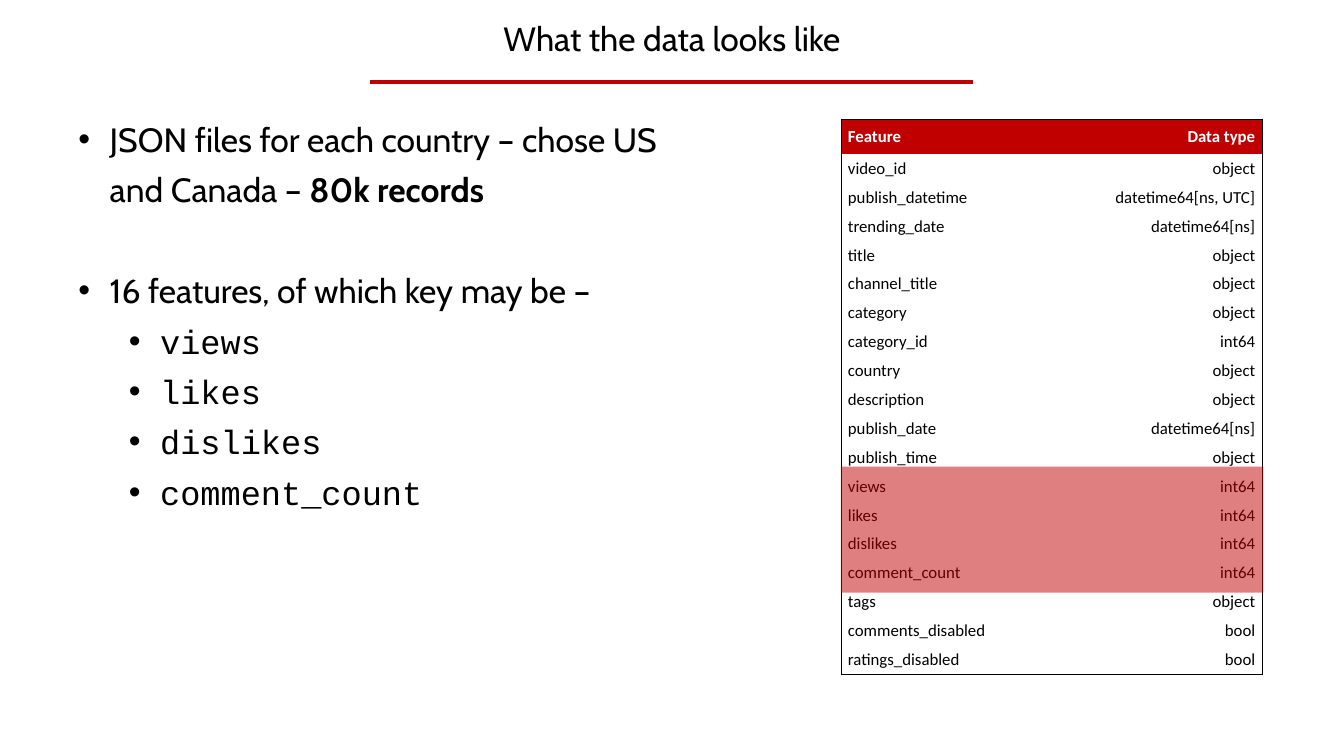
from lxml.etree import SubElement
from pptx import Presentation
from pptx.dml.color import RGBColor
from pptx.enum.shapes import MSO_CONNECTOR, MSO_SHAPE
from pptx.enum.text import MSO_ANCHOR, PP_ALIGN
from pptx.oxml.ns import qn
from pptx.util import Inches, Pt

RED, BLACK, WHITE = "C00000", "000000", "FFFFFF"
TABLE_LEFT, TABLE_TOP, TABLE_WIDTH, TABLE_HEIGHT = 8.34, 1.18, 4.18, 5.51
HEADER_HEIGHT = 0.35

BULLETS = [
    (0, [("JSON files for each country – chose US and Canada – ", False), ("80k records", True)]),
    (0, [("16 features, of which key may be –", False)]),
    (1, [("views", False)]),
    (1, [("likes", False)]),
    (1, [("dislikes", False)]),
    (1, [("comment_count", False)]),
]

FEATURES = [
    ("Feature", "Data type"),
    ("video_id", "object"),
    ("publish_datetime", "datetime64[ns, UTC]"),
    ("trending_date", "datetime64[ns]"),
    ("title", "object"),
    ("channel_title", "object"),
    ("category", "object"),
    ("category_id", "int64"),
    ("country", "object"),
    ("description", "object"),
    ("publish_date", "datetime64[ns]"),
    ("publish_time", "object"),
    ("views", "int64"),
    ("likes", "int64"),
    ("dislikes", "int64"),
    ("comment_count", "int64"),
    ("tags", "object"),
    ("comments_disabled", "bool"),
    ("ratings_disabled", "bool"),
]


def rgb(color):
    return RGBColor.from_string(color)


def set_attrs(target, values):
    for name, value in values.items():
        setattr(target, name, value)


def add_run(p, text, size, font, color=BLACK, bold=False):
    r = p.add_run()
    r.text = text
    set_attrs(r.font, {"size": Pt(size), "name": font, "bold": bold})
    r.font.color.rgb = rgb(color)


def add_text_frame(s, left, top, width, height, anchor):
    box = s.shapes.add_textbox(Inches(left), Inches(top), Inches(width), Inches(height))
    tf = box.text_frame
    set_attrs(tf, {"word_wrap": True, "vertical_anchor": anchor})
    return tf


def add_title(s, text):
    p = add_text_frame(s, 0, 0, 13.33, 0.81, MSO_ANCHOR.MIDDLE).paragraphs[0]
    set_attrs(p, {"alignment": PP_ALIGN.CENTER, "line_spacing": 0.9})
    add_run(p, text, 24, "Cabin")


def add_bullets(s, bullets):
    tf = add_text_frame(s, 0.68, 1.03, 6.1, 5.1, MSO_ANCHOR.TOP)
    for i, (level, runs) in enumerate(bullets):
        p = tf.paragraphs[0] if i == 0 else tf.add_paragraph()
        gap = Pt(36) if i and level == 0 else Pt(0)
        set_attrs(p, {"level": level, "line_spacing": 1.25, "space_before": gap})
        pPr = p._p.get_or_add_pPr()
        pPr.set("marL", str(Inches(0.31 + 0.5 * level)))
        pPr.set("indent", str(Inches(-0.31)))
        SubElement(pPr, qn("a:buFont"), typeface="Arial")
        SubElement(pPr, qn("a:buChar"), char="•")
        for text, bold in runs:
            add_run(p, text, 24, "Courier New" if level else "Cabin", bold=bold)


def set_borders(cell, sides):
    tcPr = cell._tc.get_or_add_tcPr()
    for side in "LRTB":
        ln = SubElement(tcPr, qn(f"a:ln{side}"), w=str(Pt(0.5)))
        if side in sides:
            fill = SubElement(ln, qn("a:solidFill"))
            SubElement(fill, qn("a:srgbClr"), val=BLACK)
        else:
            SubElement(ln, qn("a:noFill"))


def fill_cell(cell, text, header, align, sides):
    set_attrs(cell, {
        "vertical_anchor": MSO_ANCHOR.MIDDLE,
        "margin_left": Inches(0.07), "margin_right": Inches(0.07),
        "margin_top": Inches(0.03), "margin_bottom": Inches(0.03),
    })
    set_borders(cell, sides)
    if header:
        cell.fill.solid()
        cell.fill.fore_color.rgb = rgb(RED)
    else:
        cell.fill.background()
    p = cell.text_frame.paragraphs[0]
    p.alignment = align
    add_run(p, text, 12, "Calibri", WHITE if header else BLACK, header)


def add_feature_table(s, features):
    last = len(features) - 1
    frame = s.shapes.add_table(len(features), 2, Inches(TABLE_LEFT), Inches(TABLE_TOP),
                               Inches(TABLE_WIDTH), Inches(TABLE_HEIGHT))
    table = frame.table
    set_attrs(table, {"first_row": False, "horz_banding": False})
    row_height = (TABLE_HEIGHT - HEADER_HEIGHT) / last
    for i, row in enumerate(features):
        table.rows[i].height = Inches(row_height if i else HEADER_HEIGHT)
        edge = {0: "T", last: "B"}.get(i, "")
        for j, (side, align) in enumerate([("L", PP_ALIGN.LEFT), ("R", PP_ALIGN.RIGHT)]):
            fill_cell(table.cell(i, j), row[j], i == 0, align, side + edge)


def add_rule(s, x1, x2, y):
    line = s.shapes.add_connector(MSO_CONNECTOR.STRAIGHT, Inches(x1), Inches(y),
                                  Inches(x2), Inches(y))
    line.line.color.rgb = rgb(RED)
    line.line.width = Pt(3)
    SubElement(line._element.spPr, qn("a:effectLst"))


def add_highlight(s, left, top, width, height):
    shape = s.shapes.add_shape(MSO_SHAPE.RECTANGLE, Inches(left), Inches(top),
                               Inches(width), Inches(height))
    shape.shadow.inherit = False
    shape.line.fill.background()
    shape.fill.solid()
    shape.fill.fore_color.rgb = rgb(RED)
    color = shape._element.spPr.find(f".//{qn('a:srgbClr')}")
    SubElement(color, qn("a:alpha"), val="50000")


def main():
    prs = Presentation()
    set_attrs(prs, {"slide_width": Inches(13.33), "slide_height": Inches(7.5)})
    s = prs.slides.add_slide(prs.slide_layouts[6])
    add_title(s, "What the data looks like")
    add_bullets(s, BULLETS)
    add_feature_table(s, FEATURES)
    add_rule(s, 9.65, 3.67, 0.81)
    add_highlight(s, TABLE_LEFT, 4.63, 4.19, 1.25)
    prs.save("out.pptx")


if __name__ == "__main__":
    main()
